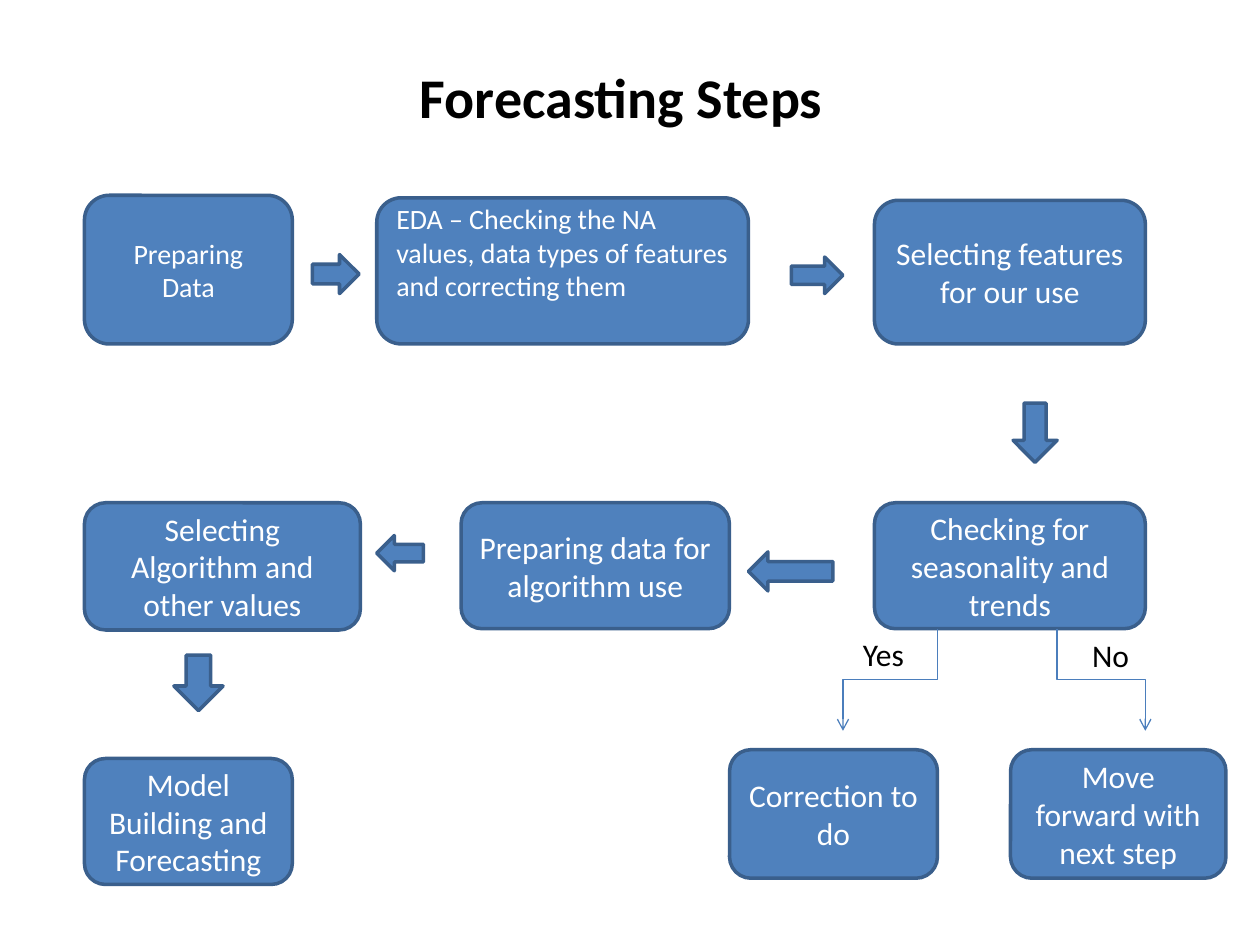
from dataclasses import dataclass

from lxml.etree import SubElement
from pptx import Presentation
from pptx.dml.color import RGBColor
from pptx.enum.shapes import MSO_CONNECTOR as Connector, MSO_SHAPE as Shape
from pptx.enum.text import MSO_ANCHOR as Anchor, MSO_AUTO_SIZE as AutoSize, PP_ALIGN as Align
from pptx.oxml.ns import qn
from pptx.util import Inches, Pt


@dataclass(frozen=True)
class Theme:
    font: str = "Calibri"
    fill: RGBColor = RGBColor(0x4F, 0x81, 0xBD)
    outline: RGBColor = RGBColor(0x3A, 0x5F, 0x8C)
    branch: RGBColor = RGBColor(0x4B, 0x7E, 0xBC)
    light: RGBColor = RGBColor(0xFF, 0xFF, 0xFF)
    dark: RGBColor = RGBColor(0, 0, 0)
    title_size: int = 32
    body_size: int = 18
    small_size: int = 16


THEME = Theme()
TITLE = "Forecasting Steps"
LEFT, MIDDLE, RIGHT = 0.67, 2.99, 6.94
ROW_TOP, BRANCH_TOP = 3.99, 5.95

# text, (left, top, width, height), text size
STEPS = [
    ("Preparing Data", (LEFT, 1.55, 1.65, 1.18), THEME.small_size),
    ("Selecting features for our use", (RIGHT, 1.59, 2.15, 1.14), THEME.body_size),
    ("Checking for seasonality and trends", (RIGHT, ROW_TOP, 2.15, 1), THEME.body_size),
    ("Preparing data for algorithm use", (3.66, ROW_TOP, 2.13, 1), THEME.body_size),
    ("Selecting Algorithm and other values", (LEFT, ROW_TOP, 2.19, 1.01), THEME.body_size),
    ("Model Building and Forecasting", (LEFT, 6.02, 1.65, 1), THEME.body_size),
    ("Correction to do", (5.79, BRANCH_TOP, 1.65, 1.02), THEME.body_size),
    ("Move forward with next step", (8.02, BRANCH_TOP, 1.71, 1.02), THEME.body_size),
]
EDA_STEP = (
    "EDA – Checking the NA values, data types of features and correcting them",
    (MIDDLE, 1.57, 2.95, 1.16),
    THEME.small_size,
)
ARROWS = [
    (Shape.RIGHT_ARROW, (2.48, 2.02, 0.37, 0.31)),
    (Shape.RIGHT_ARROW, (6.28, 2.04, 0.41, 0.29)),
    (Shape.DOWN_ARROW, (8.04, 3.2, 0.35, 0.47)),
    (Shape.LEFT_ARROW, (5.94, 4.38, 0.67, 0.31)),
    (Shape.LEFT_ARROW, (MIDDLE, 4.25, 0.37, 0.28)),
    (Shape.DOWN_ARROW, (1.38, 5.2, 0.39, 0.44)),
]
# label, label box, start x, end x
BRANCHES = [
    ("Yes", (6.75, 4.99, 0.53, 0.4), 7.44, 6.69),
    ("No", (8.57, 5, 0.5, 0.4), 8.39, 9.09),
]
BRANCH_START, BRANCH_END = 4.99, 5.8


def inches(values):
    return [Inches(value) for value in values]


def set_font(paragraph, size, color, bold=False):
    font = paragraph.font
    font.name, font.size, font.bold = THEME.font, Pt(size), bold
    font.color.rgb = color


def add_block(slide, kind, box):
    shape = slide.shapes.add_shape(kind, *inches(box))
    shape.shadow.inherit = False
    shape.fill.solid()
    shape.fill.fore_color.rgb = THEME.fill
    shape.line.color.rgb = THEME.outline
    shape.line.width = Pt(2)
    return shape


def add_step(slide, text, box, size, align=Align.CENTER):
    frame = add_block(slide, Shape.ROUNDED_RECTANGLE, box).text_frame
    frame.word_wrap = True
    frame.vertical_anchor = Anchor.MIDDLE
    frame.text = text
    frame.paragraphs[0].alignment = align
    set_font(frame.paragraphs[0], size, THEME.light)
    return frame


def add_branch(slide, start_x, end_x):
    """Add an elbow that leaves downwards: a sideways elbow turned a quarter."""
    length, span = BRANCH_END - BRANCH_START, abs(end_x - start_x)
    left = (start_x + end_x - length) / 2
    top = (BRANCH_START + BRANCH_END - span) / 2
    ends, turn = (left, left + length), 90
    if end_x > start_x:
        ends, turn = ends[::-1], 270
    connector = slide.shapes.add_connector(
        Connector.ELBOW, *inches((ends[0], top, ends[1], top + span)))
    connector.line.color.rgb = THEME.branch
    connector.line.width = Pt(0.75)
    properties = connector._element.spPr
    properties.find(qn("a:xfrm")).set("rot", str(turn * 60000))
    SubElement(properties.find(qn("a:ln")), qn("a:tailEnd"), type="arrow")
    SubElement(properties, qn("a:effectLst"))


def add_label(slide, text, box):
    frame = slide.shapes.add_textbox(*inches(box)).text_frame
    frame.word_wrap = False
    frame.auto_size = AutoSize.SHAPE_TO_FIT_TEXT
    frame.text = text
    set_font(frame.paragraphs[0], THEME.body_size, THEME.dark)


def main():
    presentation = Presentation()
    presentation.slide_width, presentation.slide_height = inches((10, 7.5))
    slide = presentation.slides.add_slide(presentation.slide_layouts[5])

    title = slide.shapes.title
    title.left, title.top, title.width, title.height = inches((0.43, 0.21, 9, 1.1))
    title.text_frame.text = TITLE
    title.text_frame.vertical_anchor = Anchor.MIDDLE
    heading = title.text_frame.paragraphs[0]
    heading.alignment = Align.CENTER
    set_font(heading, THEME.title_size, THEME.dark, bold=True)

    for step in STEPS:
        add_step(slide, *step)
    eda_frame = add_step(slide, *EDA_STEP, align=Align.LEFT)
    eda_frame.margin_bottom = Inches(0.35)
    for kind, box in ARROWS:
        add_block(slide, kind, box)
    for label, box, start_x, end_x in BRANCHES:
        add_branch(slide, start_x, end_x)
        add_label(slide, label, box)

    presentation.save("out.pptx")


if __name__ == "__main__":
    main()
